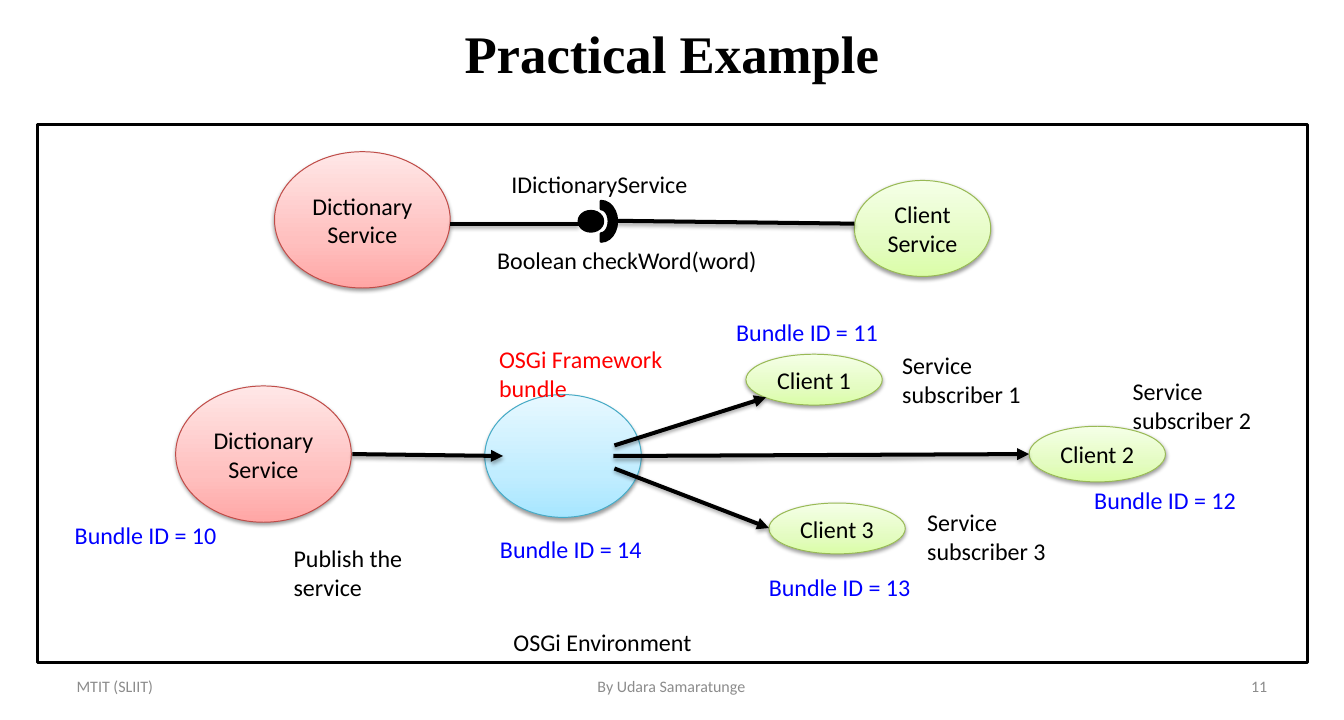
from lxml import etree
from pptx import Presentation
from pptx.dml.color import RGBColor
from pptx.enum.shapes import MSO_CONNECTOR, MSO_SHAPE
from pptx.enum.text import MSO_ANCHOR as ANCHOR, PP_ALIGN as ALIGN
from pptx.oxml import parse_xml
from pptx.oxml.ns import nsdecls, qn
from pptx.util import Inches, Pt

BLACK = RGBColor(0x00, 0x00, 0x00)
WHITE = RGBColor(0xFF, 0xFF, 0xFF)
GRAY = RGBColor(0x8C, 0x8C, 0x8C)
BLUE = RGBColor(0x00, 0x00, 0xFF)
RED = RGBColor(0xFF, 0x00, 0x00)

# Each palette: outline, then gradient stops from bottom to top
PINK = [RGBColor(0xBF, 0x4C, 0x48), RGBColor(0xFF, 0xA6, 0xA5),
        RGBColor(0xFF, 0xC0, 0xBF), RGBColor(0xFF, 0xE7, 0xE7)]
GREEN = [RGBColor(0x98, 0xB9, 0x55), RGBColor(0xDA, 0xFD, 0xA7),
         RGBColor(0xE4, 0xFC, 0xC2), RGBColor(0xF5, 0xFF, 0xE7)]
SKY = [RGBColor(0x46, 0xAA, 0xC5), RGBColor(0xA7, 0xE6, 0xFF),
       RGBColor(0xC1, 0xED, 0xFF), RGBColor(0xE7, 0xF8, 0xFF)]


def add_shadow(shape, distance, opacity):
    """Append a soft downward shadow; call after the fill and line are set."""
    shape._element.spPr.append(parse_xml(
        f'<a:effectLst {nsdecls("a")}>'
        f'<a:outerShdw blurRad="{Pt(3.1)}" dist="{Pt(distance)}" dir="5400000" rotWithShape="0">'
        f'<a:srgbClr val="000000"><a:alpha val="{opacity * 1000}"/></a:srgbClr>'
        '</a:outerShdw></a:effectLst>'))


def write_text(shape, text, size=18, color=BLACK, align=ALIGN.LEFT,
               anchor=ANCHOR.TOP, font="Calibri", bold=False):
    tf = shape.text_frame
    tf.word_wrap = True
    tf.vertical_anchor = anchor
    p = tf.paragraphs[0]
    p.text = text
    p.alignment = align
    p.font.size = Pt(size)
    p.font.name = font
    p.font.bold = bold
    p.font.color.rgb = color


prs = Presentation()
prs.slide_width, prs.slide_height = Inches(14), Inches(7.5)
s = prs.slides.add_slide(prs.slide_layouts[6])

# Environment frame, then the provided and required interface symbols
solids = [
    (MSO_SHAPE.RECTANGLE, 0.39, 1.3, 13.23, 5.6, 0, WHITE),
    (MSO_SHAPE.OVAL, 6.03, 2.2, 0.25, 0.21, 0, BLACK),
    (MSO_SHAPE.BLOCK_ARC, 6.05, 2.14, 0.42, 0.33, 90, BLACK),
]
for kind, x, y, w, h, rotation, color in solids:
    sp = s.shapes.add_shape(kind, Inches(x), Inches(y), Inches(w), Inches(h))
    sp.rotation = rotation
    sp.fill.solid()
    sp.fill.fore_color.rgb = color
    sp.line.color.rgb = BLACK
    sp.line.width = Pt(2)
    sp.shadow.inherit = False

# Bundles
bundles = [
    ("", 5.05, 4.11, 1.63, 1.28, SKY),
    ("Dictionary Service", 2.86, 1.58, 1.83, 1.42, PINK),
    ("Client Service", 8.9, 1.88, 1.42, 1, GREEN),
    ("Dictionary Service", 1.83, 4.02, 1.83, 1.42, PINK),
    ("Client 1", 7.77, 3.69, 1.42, 0.53, GREEN),
    ("Client 3", 8.01, 5.24, 1.42, 0.53, GREEN),
    ("Client 2", 10.72, 4.44, 1.42, 0.58, GREEN),
]
for text, x, y, w, h, (outline, *stops) in bundles:
    sp = s.shapes.add_shape(MSO_SHAPE.OVAL, Inches(x), Inches(y), Inches(w), Inches(h))
    sp.fill.gradient()
    sp.fill.gradient_angle = 90
    stop_list = sp._element.spPr.find(".//" + qn("a:gsLst"))
    stop_list.clear()
    for position, color in zip((0, 35, 100), stops):
        gs = etree.SubElement(stop_list, qn("a:gs"), pos=str(position * 1000))
        etree.SubElement(gs, qn("a:srgbClr"), val=str(color))
    sp.line.color.rgb = outline
    sp.line.width = Pt(0.75)
    add_shadow(sp, 1.6, 38)
    if text:
        write_text(sp, text, align=ALIGN.CENTER, anchor=ANCHOR.MIDDLE)

# Links between bundles
links = [
    (4.69, 2.33, 6.03, 2.33, False),
    (6.42, 2.3, 8.9, 2.33, False),
    (3.67, 4.73, 5.24, 4.75, True),
    (6.4, 4.64, 7.98, 4.14, True),
    (6.39, 4.75, 10.72, 4.73, True),
    (6.4, 4.88, 8.01, 5.5, True),
]
for x1, y1, x2, y2, arrow in links:
    link = s.shapes.add_connector(MSO_CONNECTOR.STRAIGHT, Inches(x1), Inches(y1),
                                  Inches(x2), Inches(y2))
    link.line.color.rgb = BLACK
    link.line.width = Pt(3)
    if arrow:
        etree.SubElement(link.line._get_or_add_ln(), qn("a:tailEnd"), type="triangle")
    add_shadow(link, 1.8, 35)

# Labels
labels = [
    ("OSGi Environment", 5.25, 6.49, 3.13, 0.4, BLACK),
    ("IDictionaryService", 5.23, 1.72, 3.13, 0.4, BLACK),
    ("Boolean checkWord(word)", 5.08, 2.51, 3.13, 0.4, BLACK),
    ("Publish the service", 2.96, 5.61, 1.65, 0.71, BLACK),
    ("Service subscriber 1", 9.3, 3.6, 1.65, 0.71, BLACK),
    ("Service subscriber 2", 11.7, 3.87, 1.48, 0.71, BLACK),
    ("Service subscriber 3", 9.56, 5.24, 1.48, 0.71, BLACK),
    ("OSGi Framework bundle", 5.1, 3.54, 1.98, 0.71, RED),
]
bundle_id_spots = [(0.68, 5.37), (7.57, 3.26), (11.3, 5.01), (7.91, 5.91), (5.11, 5.52)]
for number, (x, y) in enumerate(bundle_id_spots, start=10):
    labels.append((f"Bundle ID = {number}", x, y, 1.98, 0.4, BLUE))
for text, x, y, w, h, color in labels:
    box = s.shapes.add_textbox(Inches(x), Inches(y), Inches(w), Inches(h))
    write_text(box, text, color=color)

# Title and footer
title = s.shapes.add_textbox(Inches(2.5), Inches(0.17), Inches(9), Inches(0.75))
write_text(title, "Practical Example", 39.6, align=ALIGN.CENTER, anchor=ANCHOR.MIDDLE,
           font="Times New Roman", bold=True)
footers = [
    ("MTIT (SLIIT)", 0.7, 3.27, ALIGN.LEFT),
    ("By Udara Samaratunge", 4.78, 4.43, ALIGN.CENTER),
    ("11", 10.03, 3.27, ALIGN.RIGHT),
]
for text, x, w, align in footers:
    box = s.shapes.add_textbox(Inches(x), Inches(6.95), Inches(w), Inches(0.4))
    write_text(box, text, 12, GRAY, align, ANCHOR.MIDDLE)

prs.save("out.pptx")
